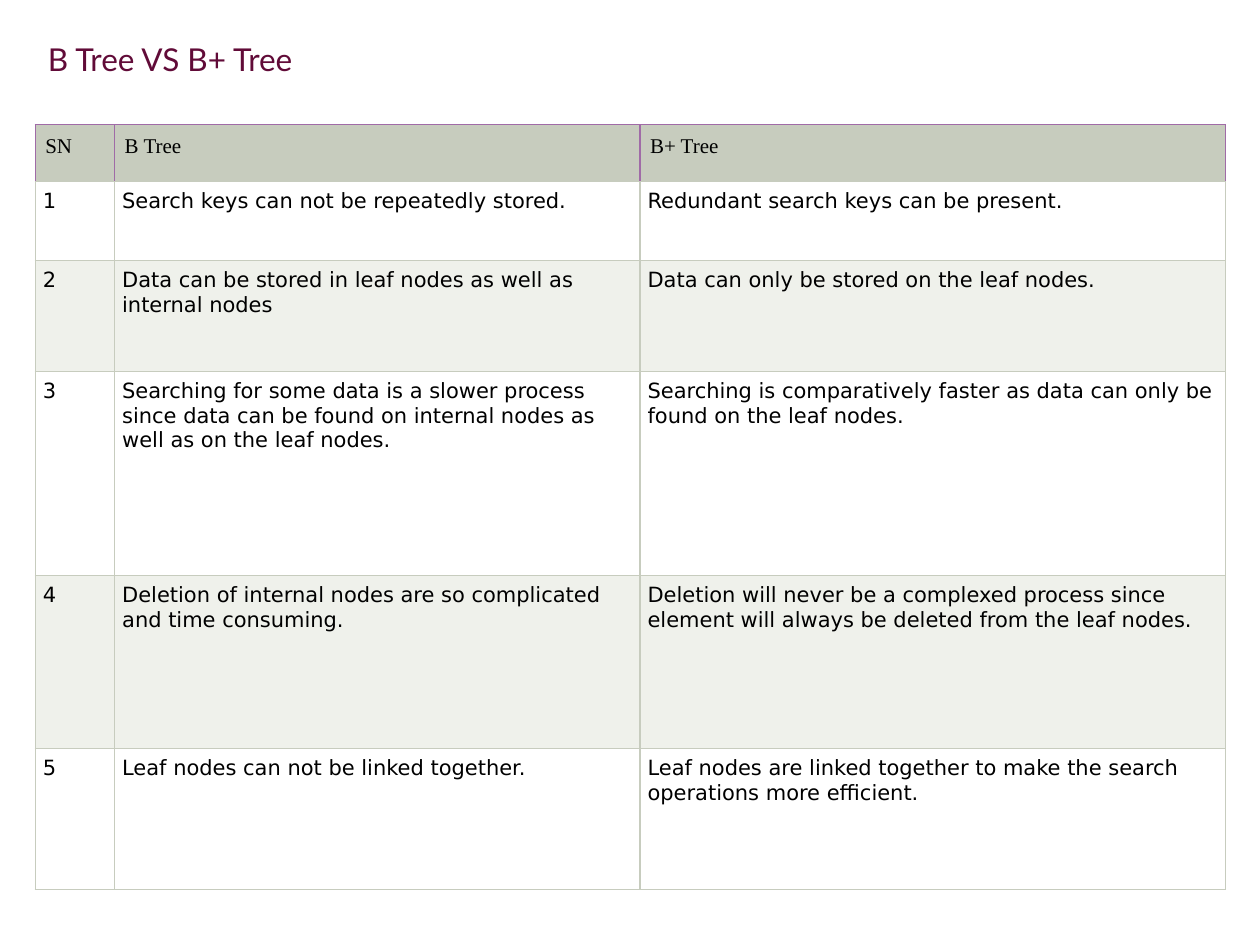
from lxml import etree
from pptx import Presentation
from pptx.dml.color import RGBColor
from pptx.enum import text
from pptx.oxml import ns
from pptx.util import Inches, Pt

PLUM = RGBColor(0x61, 0x0B, 0x38)
BLACK = RGBColor(0, 0, 0)
WHITE = RGBColor(0xFF, 0xFF, 0xFF)
SAGE = RGBColor(0xC7, 0xCC, 0xBE)
PALE = RGBColor(0xEF, 0xF1, 0xEB)
MAUVE = RGBColor(0xA0, 0x6B, 0xA7)

TITLE = {"name": "Lato", "size": Pt(18), "bold": False}
HEAD = {"name": "Times New Roman", "size": Pt(12), "bold": False}
BODY = {"name": "DejaVu Sans", "size": Pt(12), "bold": False}

COLS = [0.63, 4.17, 4.65]
ROWS = [0.45, 0.63, 0.88, 1.62, 1.37, 1.12]
DATA = [
    ("SN", "B Tree", "B+ Tree"),
    ("1", "Search keys can not be repeatedly stored.",
     "Redundant search keys can be present."),
    ("2", "Data can be stored in leaf nodes as well as internal nodes",
     "Data can only be stored on the leaf nodes."),
    ("3", "Searching for some data is a slower process since data can be "
     "found on internal nodes as well as on the leaf nodes.",
     "Searching is comparatively faster as data can only be found on the "
     "leaf nodes."),
    ("4", "Deletion of internal nodes are so complicated and time consuming.",
     "Deletion will never be a complexed process since element will always "
     "be deleted from the leaf nodes."),
    ("5", "Leaf nodes can not be linked together.",
     "Leaf nodes are linked together to make the search operations more "
     "efficient."),
]


def set_all(obj, form):
    """Set each attribute of obj from a dict."""
    for key, val in form.items():
        setattr(obj, key, val)


def write(frame, words, form, color):
    """Put one styled, left-aligned run into a text frame."""
    par = frame.paragraphs[0]
    par.alignment = text.PP_ALIGN.LEFT
    run = par.add_run()
    run.text = words
    set_all(run.font, form)
    run.font.color.rgb = color


def add_title(slide, left, top, width, height):
    """Place the slide title in the given box."""
    title = slide.shapes.title
    set_all(title, {"left": left, "top": top, "width": width, "height": height})
    title.fill.solid()
    title.fill.fore_color.rgb = WHITE
    set_all(title.text_frame, {
        "word_wrap": True, "auto_size": text.MSO_AUTO_SIZE.NONE,
        "vertical_anchor": text.MSO_ANCHOR.TOP, "margin_top": Inches(0.06)})
    write(title.text_frame, "B Tree VS B+ Tree", TITLE, PLUM)


def edge(cell, colors):
    """Draw the left, right, top and bottom borders of a cell."""
    props = cell._tc.get_or_add_tcPr()
    for spot, (side, color) in enumerate(zip("LRTB", colors)):
        line = etree.Element(ns.qn(f"a:ln{side}"), w=str(Pt(0.75)))
        fill = etree.SubElement(line, ns.qn("a:solidFill"))
        etree.SubElement(fill, ns.qn("a:srgbClr"), val=str(color))
        props.insert(spot, line)


def fill_cell(cell, words, row):
    """Style and fill one cell according to its row."""
    head = row == 0
    pad = Inches(0.08 if head else 0.06)
    sides = ("left", "right", "top", "bottom")
    set_all(cell, {f"margin_{side}": pad for side in sides})
    cell.fill.solid()
    cell.fill.fore_color.rgb = SAGE if head else (WHITE if row % 2 else PALE)
    write(cell.text_frame, words, HEAD if head else BODY, BLACK)
    edge(cell, [MAUVE] * 3 + [SAGE] if head else [SAGE] * 4)


def add_grid(slide, left, top, width, height):
    """Place the comparison table in the given box."""
    table = slide.shapes.add_table(
        len(ROWS), len(COLS), left, top, width, height).table
    for col, size in zip(table.columns, COLS):
        col.width = Inches(size)
    for row, size in zip(table.rows, ROWS):
        row.height = Inches(size)
    for row, line in enumerate(DATA):
        for col, words in enumerate(line):
            fill_cell(table.cell(row, col), words, row)


def main():
    """Build and save the slide."""
    deck = Presentation()
    set_all(deck, {"slide_width": Inches(10), "slide_height": Inches(7.5)})
    slide = deck.slides.add_slide(deck.slide_layouts[5])
    add_grid(slide, Inches(0.28), Inches(0.99),
             Inches(sum(COLS)), Inches(sum(ROWS)))
    add_title(slide, Inches(0.28), Inches(0.26), Inches(3.07), Inches(0.71))
    deck.save("out.pptx")


if __name__ == "__main__":
    main()
